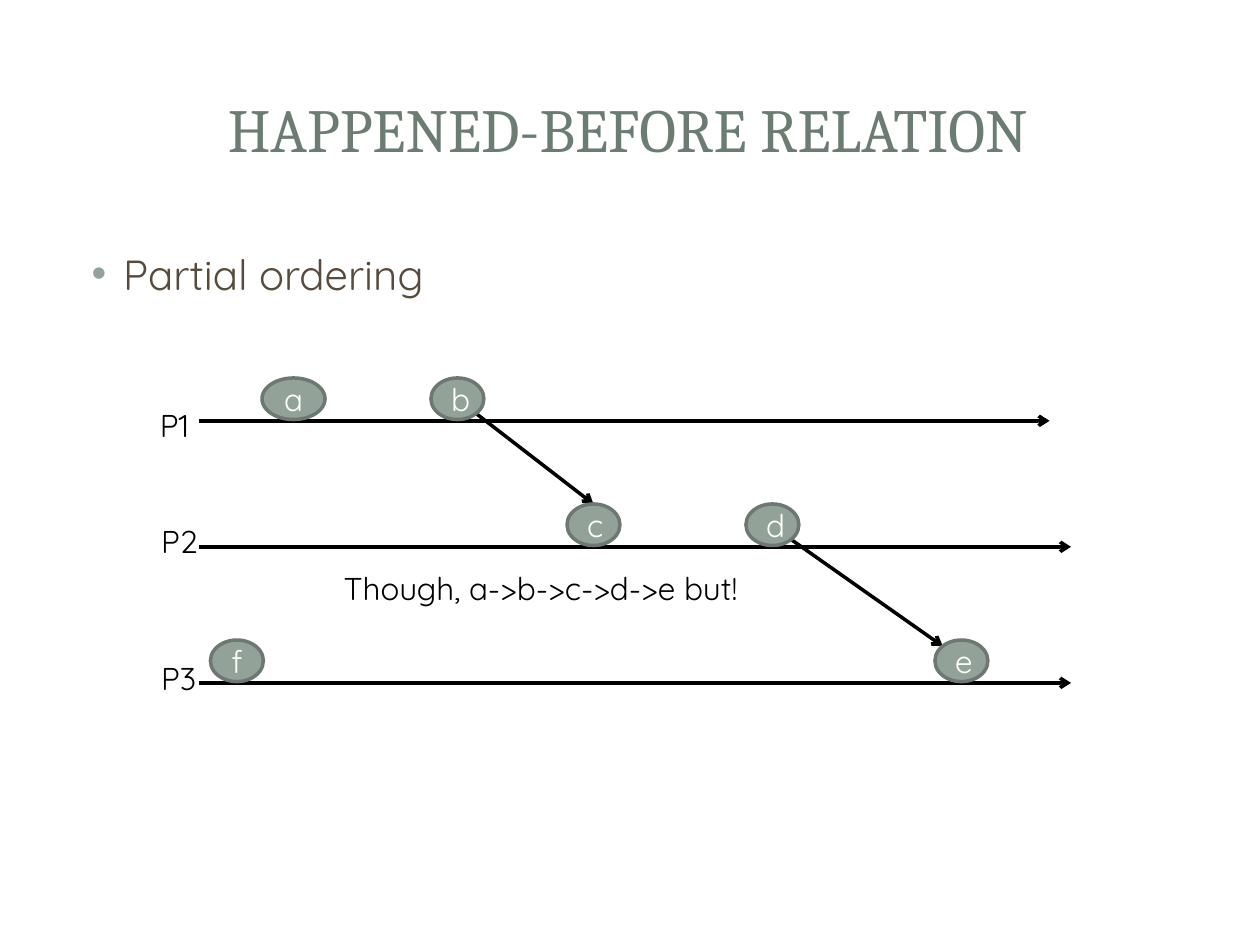
from lxml import etree
from pptx import Presentation
from pptx import util as u
from pptx.dml.color import RGBColor
from pptx.enum import shapes, text
from pptx.oxml.ns import qn

WIDE, HIGH = 10, 7.5
COLOR = {"title": "6B7D72", "body": "564B3C", "node": "93A299",
         "edge": "6D7871", "ink": "000000", "pale": "FFFFFF"}
STYLE = {
    "title": {"name": "Cambria", "size": u.Pt(35)},
    "body": {"name": "Quicksand", "size": u.Pt(24)},
    "ink": {"name": "Quicksand", "size": u.Pt(18)},
    "pale": {"name": "Quicksand", "size": u.Pt(18)},
}
TITLE = "HAPPENED-BEFORE RELATION"
POINT = "Partial ordering"
NOTE = "Though, a->b->c->d->e but!"
START = 1.58
# process: axis height, axis end, label left, label top
ROWS = {"P1": (3.34, 8.33, 1.17, 3.17),
        "P2": (4.34, 8.5, 1.18, 4.09),
        "P3": (5.42, 8.5, 1.18, 5.18)}
# event: process, left, width
NODES = {"a": ("P1", 2.08, 0.5), "b": ("P1", 3.42, 0.42),
         "c": ("P2", 4.5, 0.42), "d": ("P2", 5.92, 0.42),
         "e": ("P3", 7.42, 0.42), "f": ("P3", 1.67, 0.42)}
TALL, LIFT = 0.33, 0.34
# shares of an event's width and height
SITE = {"top": (0.5, 0), "top left": (0.15, 0.15), "low right": (0.85, 0.85)}
SENDS = [("b", "low right", "c", "top"), ("d", "low right", "e", "top left")]

deck = Presentation()
deck.slide_width, deck.slide_height = u.Inches(WIDE), u.Inches(HIGH)
page = deck.slides.add_slide(deck.slide_layouts[6])


def rgb(key):
    return RGBColor.from_string(COLOR[key])


def write(shape, words, style, wrap=True, **form):
    frame = shape.text_frame
    frame.word_wrap = wrap
    para = frame.paragraphs[0]
    run = para.add_run()
    run.text = words
    for key, val in STYLE[style].items():
        setattr(run.font, key, val)
    run.font.color.rgb = rgb(style)
    for key, val in form.items():
        setattr(frame if key == "vertical_anchor" else para, key, val)
    return para


def box(*area):
    return page.shapes.add_textbox(*map(u.Inches, area))


def arrow(*ends):
    line = page.shapes.add_connector(
        shapes.MSO_CONNECTOR.STRAIGHT, *map(u.Inches, ends))
    line.line.color.rgb = rgb("ink")
    line.line.width = u.Pt(2)
    etree.SubElement(line.line._get_or_add_ln(), qn("a:tailEnd"), type="arrow")
    etree.SubElement(line._element.spPr, qn("a:effectLst"))


def area(name):
    row, left, width = NODES[name]
    return left, ROWS[row][0] - LIFT, width, TALL


def spot(name, site):
    left, top, width, tall = area(name)
    across, down = SITE[site]
    return left + across * width, top + down * tall


def bullet(para):
    props = para._p.get_or_add_pPr()
    props.set("marL", str(u.Inches(0.38)))
    props.set("indent", str(u.Inches(-0.25)))
    tint = etree.SubElement(props, qn("a:buClr"))
    etree.SubElement(tint, qn("a:srgbClr"), val=COLOR["node"])
    etree.SubElement(props, qn("a:buFont"), typeface="Arial")
    etree.SubElement(props, qn("a:buChar"), char="•")


MID = {"alignment": text.PP_ALIGN.CENTER,
       "vertical_anchor": text.MSO_ANCHOR.MIDDLE}
write(box(0.47, 0.45, 9.03, 1.14), TITLE, "title", **MID)
bullet(write(box(0.5, 1.92, 9, 0.67), POINT, "body", space_before=u.Pt(4.8)))

for name, (y, end, left, top) in ROWS.items():
    arrow(START, y, end, y)
    write(box(left, top, 0.49, 0.4), name, "ink", wrap=False)

for source, out, target, into in SENDS:
    arrow(*spot(source, out), *spot(target, into))

for name in NODES:
    node = page.shapes.add_shape(
        shapes.MSO_SHAPE.OVAL, *map(u.Inches, area(name)))
    node.shadow.inherit = False
    node.fill.solid()
    node.fill.fore_color.rgb = rgb("node")
    node.line.color.rgb = rgb("edge")
    node.line.width = u.Pt(2)
    write(node, name, "pale", **MID)

write(box(2.63, 4.47, 3.73, 0.4), NOTE, "ink", wrap=False)
deck.save("out.pptx")
